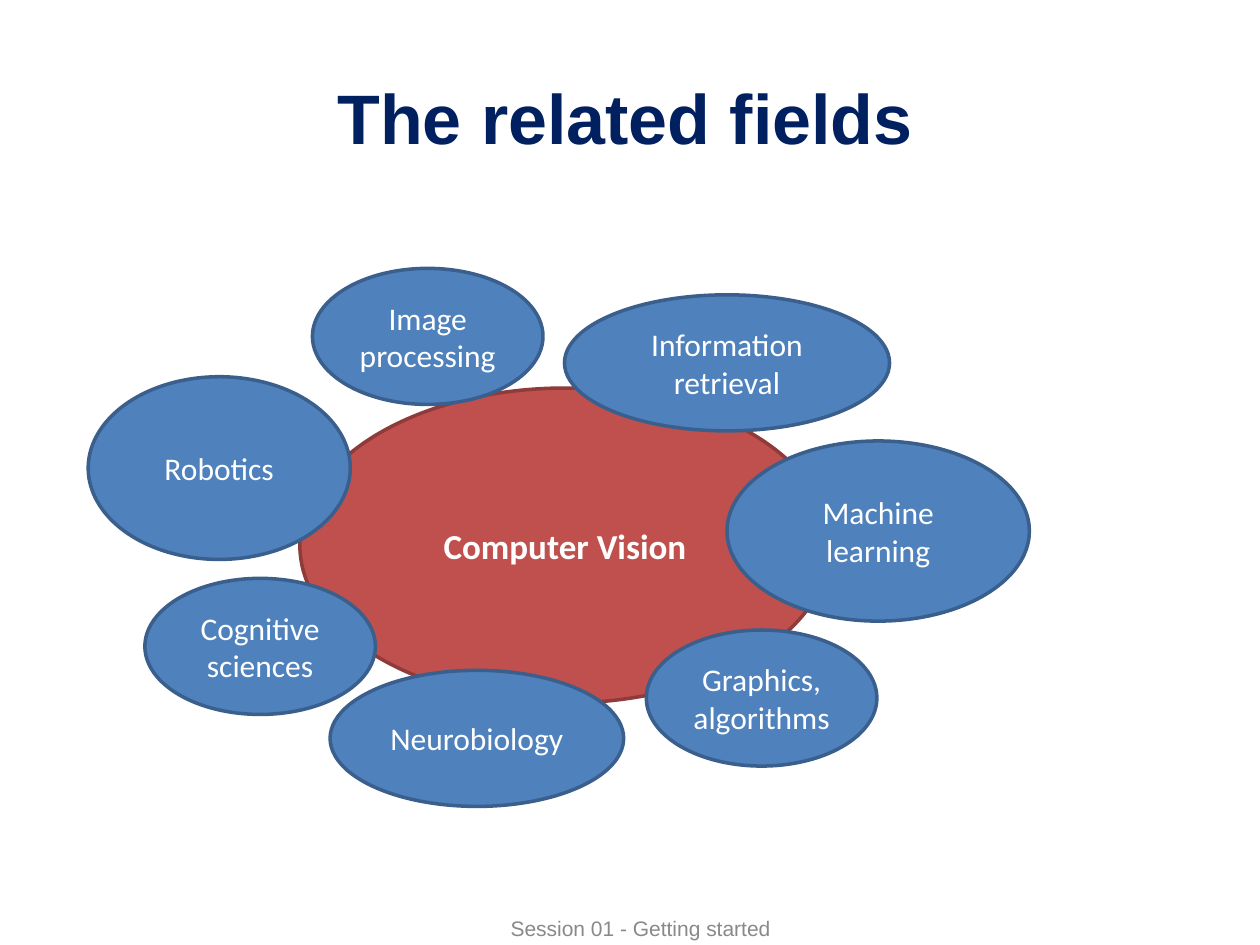
from pptx import Presentation
from pptx.dml.color import RGBColor
from pptx.enum.shapes import MSO_SHAPE
from pptx.enum.text import MSO_ANCHOR, PP_ALIGN
from pptx.util import Inches, Pt

FIELDS = [
    ("Robotics", 0.7, 2.99, 2.08, 1.45),
    ("Image processing", 2.48, 2.13, 1.83, 1.08),
    ("Cognitive sciences", 1.15, 4.59, 1.83, 1.08),
    ("Machine learning", 5.77, 3.5, 2.4, 1.43),
    ("Information retrieval", 4.48, 2.34, 2.58, 1.08),
    ("Neurobiology", 2.62, 5.32, 2.33, 1.08),
    ("Graphics, algorithms", 5.13, 5, 1.83, 1.08),
]


def color(hex_code):
    return RGBColor.from_string(hex_code)


def write(shape, text, font="Calibri", size=18, ink="FFFFFF", bold=False):
    """Put one centred paragraph in the middle of a shape."""
    frame = shape.text_frame
    frame.word_wrap = True
    frame.vertical_anchor = MSO_ANCHOR.MIDDLE
    para = frame.paragraphs[0]
    para.alignment = PP_ALIGN.CENTER
    span = para.add_run()
    span.text = text
    span.font.name = font
    span.font.size = Pt(size)
    span.font.bold = bold
    span.font.color.rgb = color(ink)


class SlideBuilder:
    """Holds the page and the shared look of its elements."""

    heading_font = "Arial"
    field_fill, field_line = "4F81BD", "3A5F8C"
    center_fill, center_line = "C0504D", "8E3B39"

    def __init__(self, page):
        self.page = page

    def label(self, text, left, top, width, height, **style):
        box = self.page.shapes.add_textbox(
            Inches(left), Inches(top), Inches(width), Inches(height))
        write(box, text, font=self.heading_font, **style)

    def ellipse(self, text, left, top, width, height, fill, line, **style):
        oval = self.page.shapes.add_shape(
            MSO_SHAPE.OVAL, Inches(left), Inches(top), Inches(width), Inches(height))
        oval.shadow.inherit = False
        oval.fill.solid()
        oval.fill.fore_color.rgb = color(fill)
        oval.line.color.rgb = color(line)
        oval.line.width = Pt(2)
        write(oval, text, **style)

    def center(self, text, *place):
        self.ellipse(text, *place, self.center_fill, self.center_line, size=20, bold=True)

    def field(self, text, *place):
        self.ellipse(text, *place, self.field_fill, self.field_line)


def main():
    deck = Presentation()
    deck.slide_width, deck.slide_height = Inches(10), Inches(7.5)
    builder = SlideBuilder(deck.slides.add_slide(deck.slide_layouts[6]))

    builder.label("Session 01 - Getting started", 3.5, 7.23, 3.17, 0.27,
                  size=12, ink="898989")
    builder.label("The related fields", 0.25, 0.3, 9.42, 1.25,
                  size=40, ink="002060", bold=True)
    builder.center("Computer Vision", 2.38, 3.08, 4.21, 2.5)
    for field in FIELDS:
        builder.field(*field)

    deck.save("out.pptx")


if __name__ == "__main__":
    main()
